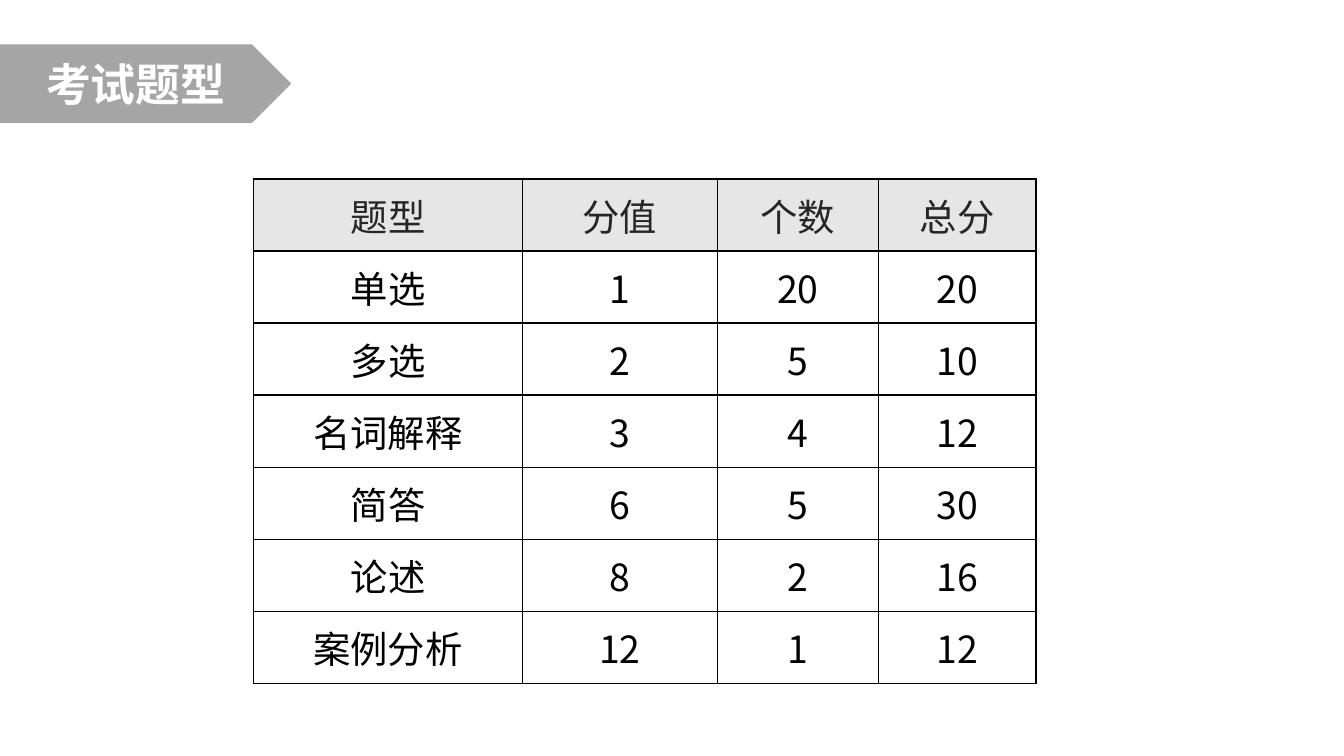
"""Build the exam question types slide: a title tag and a score table."""
from lxml.etree import SubElement
from pptx import Presentation
from pptx.dml.color import RGBColor
from pptx.enum.shapes import MSO_SHAPE
from pptx.enum.text import MSO_ANCHOR, PP_ALIGN
from pptx.oxml.ns import qn
from pptx.util import Pt

TITLE = "考试题型"
SCORES = [
    ("题型", "分值", "个数", "总分"),
    ("单选", "1", "20", "20"),
    ("多选", "2", "5", "10"),
    ("名词解释", "3", "4", "12"),
    ("简答", "6", "5", "30"),
    ("论述", "8", "2", "16"),
    ("案例分析", "12", "1", "12"),
]
COLUMN_WIDTHS = (144, 104.4, 86.4, 84.2)
ROW_HEIGHT = 34

WHITE = RGBColor(0xFF, 0xFF, 0xFF)
BLACK = RGBColor(0, 0, 0)
TAG_GRAY = RGBColor(0xA5, 0xA5, 0xA5)
HEADER_GRAY = RGBColor(0xE7, 0xE6, 0xE6)
HEADER_INK = RGBColor(0x26, 0x26, 0x26)


def write(frame, text, size, typeface, color, bold=False):
    paragraph = frame.paragraphs[0]
    paragraph.alignment = PP_ALIGN.CENTER
    run = paragraph.add_run()
    run.text = text
    font = run.font
    font.size, font.bold, font.name = Pt(size), bold, typeface
    font.color.rgb = color
    SubElement(run._r.get_or_add_rPr(), qn("a:ea"), typeface=typeface)


def add_borders(cell):
    properties = cell._tc.get_or_add_tcPr()
    for side in ("lnL", "lnR", "lnT", "lnB"):
        border = SubElement(properties, qn(f"a:{side}"), w=str(Pt(1)))
        fill = SubElement(border, qn("a:solidFill"))
        SubElement(fill, qn("a:srgbClr"), val=str(BLACK))


def add_title(slide):
    tag = slide.shapes.add_shape(MSO_SHAPE.PENTAGON, Pt(0), Pt(23.8), Pt(156), Pt(42))
    tag.shadow.inherit = False
    tag.fill.solid()
    tag.fill.fore_color.rgb = TAG_GRAY
    tag.line.fill.background()
    frame = tag.text_frame
    frame.vertical_anchor = MSO_ANCHOR.MIDDLE
    frame.margin_left = frame.margin_right = Pt(5)
    frame.margin_top = frame.margin_bottom = Pt(2.5)
    write(frame, TITLE, 24, "Noto Sans CJK JP", WHITE, bold=True)


def add_scores(slide):
    table = slide.shapes.add_table(
        len(SCORES), len(COLUMN_WIDTHS), Pt(135.9), Pt(95.8),
        Pt(sum(COLUMN_WIDTHS)), Pt(ROW_HEIGHT * len(SCORES)),
    ).table
    table.first_row = table.horz_banding = False
    for column, width in zip(table.columns, COLUMN_WIDTHS):
        column.width = Pt(width)
    for row_index, (row, entries) in enumerate(zip(table.rows, SCORES)):
        row.height = Pt(ROW_HEIGHT)
        is_header = row_index == 0
        for cell, entry in zip(row.cells, entries):
            cell.margin_left = cell.margin_right = Pt(9.6)
            cell.margin_top = cell.margin_bottom = Pt(4.8)
            add_borders(cell)
            if is_header:
                cell.fill.solid()
                cell.fill.fore_color.rgb = HEADER_GRAY
            else:
                cell.fill.background()
            ink = HEADER_INK if is_header else BLACK
            write(cell.text_frame, entry, 20, "Noto Sans CJK SC", ink)


def main():
    presentation = Presentation()
    presentation.slide_width, presentation.slide_height = Pt(720), Pt(405)
    slide = presentation.slides.add_slide(presentation.slide_layouts[6])
    add_title(slide)
    add_scores(slide)
    presentation.save("out.pptx")


if __name__ == "__main__":
    main()
